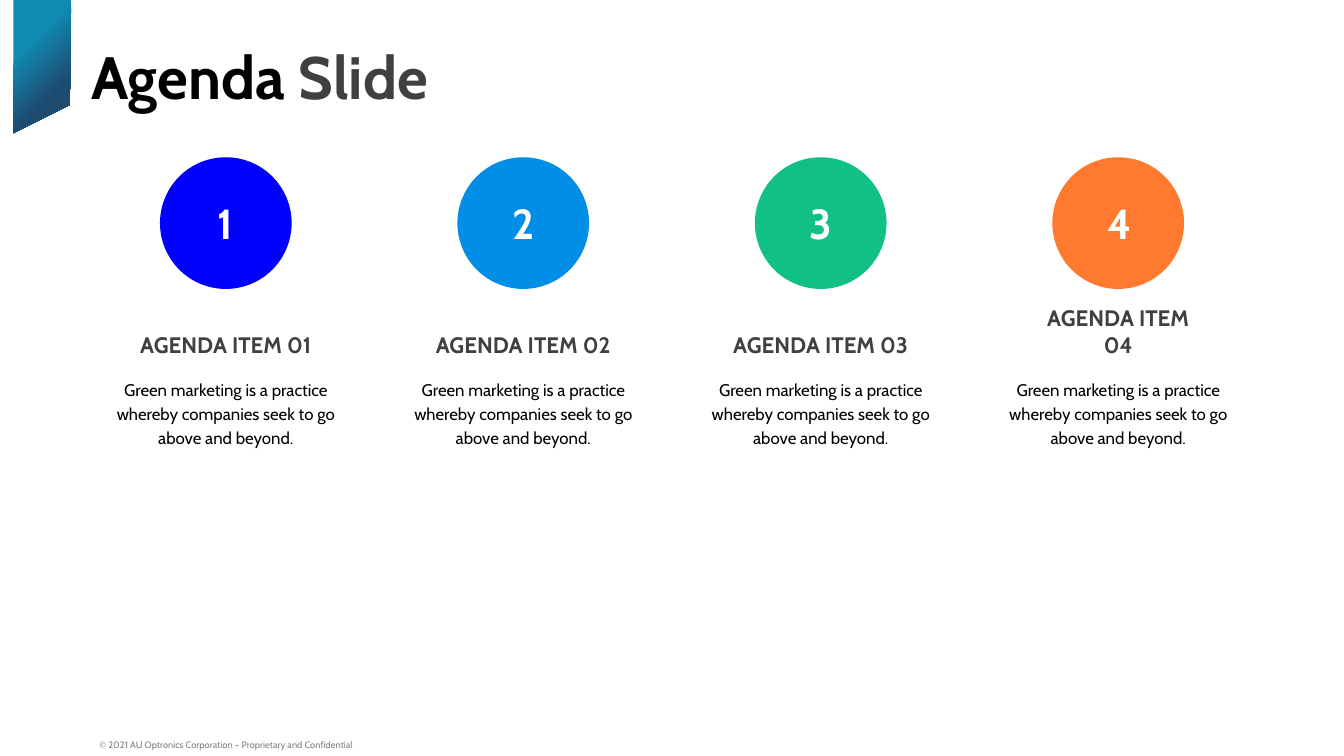
from pptx import Presentation
from pptx import util as u
from pptx.dml.color import RGBColor
from pptx.enum import shapes, text

FONT = "Cabin"
BLACK = RGBColor(0, 0, 0)
WHITE = RGBColor(255, 255, 255)
CHARCOAL = RGBColor(0x40, 0x40, 0x40)
GRAY = RGBColor(0x80, 0x80, 0x80)
TEAL = RGBColor(0x0F, 0x8A, 0xB1)
NAVY = RGBColor(0x1E, 0x4B, 0x70)
BLUE = RGBColor(0, 0, 0xFF)
SKY = RGBColor(0, 0x8E, 0xE6)
GREEN = RGBColor(0x10, 0xC0, 0x85)
ORANGE = RGBColor(0xFF, 0x79, 0x2F)

WIDTH = 10
HEIGHT = WIDTH * 9 / 16
COLUMN = 1.8
CIRCLE = 0.98
SUMMARY = "Green marketing is a practice whereby companies seek to go above and beyond."


def add_text(page, box, *parts, size, bold=False, align=text.PP_ALIGN.LEFT,
             anchor=text.MSO_ANCHOR.TOP, insets=(0.1, 0.05), wrap=True, spacing=None):
    frame = page.shapes.add_textbox(*map(u.Inches, box)).text_frame
    frame.word_wrap = wrap
    frame.vertical_anchor = anchor
    frame.margin_left = frame.margin_right = u.Inches(insets[0])
    frame.margin_top = frame.margin_bottom = u.Inches(insets[1])
    para = frame.paragraphs[0]
    para.alignment = align
    para.line_spacing = spacing
    for words, color in parts:
        span = para.add_run()
        span.text = words
        span.font.name = FONT
        span.font.size = u.Pt(size)
        span.font.bold = bold
        span.font.color.rgb = color


def add_ribbon(page, box):
    left, top, width, height = map(u.Inches, box)
    right, bottom = left + width, top + height
    builder = page.shapes.build_freeform(left, top)
    builder.add_line_segments(
        [(right, top), (right - u.Inches(0.01), top + height * 0.79), (left, bottom)])
    ribbon = builder.convert_to_shape()
    ribbon.shadow.inherit = False
    ribbon.line.fill.background()
    ribbon.fill.gradient()
    ribbon.fill.gradient_angle = 315
    stops = zip(ribbon.fill.gradient_stops, (TEAL, NAVY), (0.32, 0.7))
    for stop, color, position in stops:
        stop.color.rgb = color
        stop.position = position


def add_item(page, box, number, color):
    left, top, width, height = box
    center = text.PP_ALIGN.CENTER
    circle_left = left + (width - CIRCLE) / 2
    circle = page.shapes.add_shape(
        shapes.MSO_SHAPE.OVAL, *map(u.Inches, (circle_left, top, CIRCLE, CIRCLE)))
    circle.shadow.inherit = False
    circle.fill.solid()
    circle.fill.fore_color.rgb = color
    circle.line.fill.background()
    add_text(page, (left + width * 0.4, top + 0.25, width * 0.2, 0.48),
             (str(number), WHITE), size=22.5, bold=True, align=center,
             anchor=text.MSO_ANCHOR.MIDDLE, wrap=False)
    add_text(page, (left + 0.15, top + 1.24, width - 0.3, 0.3),
             (f"AGENDA ITEM {number:02}", CHARCOAL), size=12, bold=True, align=center,
             anchor=text.MSO_ANCHOR.BOTTOM, wrap=number > 2)
    add_text(page, (left, top + 1.6, width, height - 1.6), (SUMMARY, BLACK),
             size=9, align=center, insets=(0.04, 0.02), spacing=u.Pt(13.1))


def add_agenda(page, box):
    left, top, width, height = box
    colors = (BLUE, SKY, GREEN, ORANGE)
    pitch = (width - COLUMN) / (len(colors) - 1)
    for index, color in enumerate(colors):
        add_item(page, (left + index * pitch, top, COLUMN, height), index + 1, color)


def main():
    deck = Presentation()
    deck.slide_width, deck.slide_height = u.Inches(WIDTH), u.Inches(HEIGHT)
    page = deck.slides.add_slide(deck.slide_layouts[6])
    add_ribbon(page, (0.1, 0, 0.43, 0.99))
    add_text(page, (0.66, 5.45, 3.75, 0.18),
             ("© 2021 AU Optronics Corporation – Proprietary and Confidential", GRAY),
             size=5, anchor=text.MSO_ANCHOR.BOTTOM, insets=(0.08, 0.05), spacing=0.8)
    add_text(page, (0.58, 0.25, 8.06, 1.28), ("Agenda ", BLACK), ("Slide", CHARCOAL),
             size=32, bold=True)
    add_agenda(page, (0.78, 1.17, WIDTH - 2 * 0.78, 2.18))
    deck.save("out.pptx")


if __name__ == "__main__":
    main()
